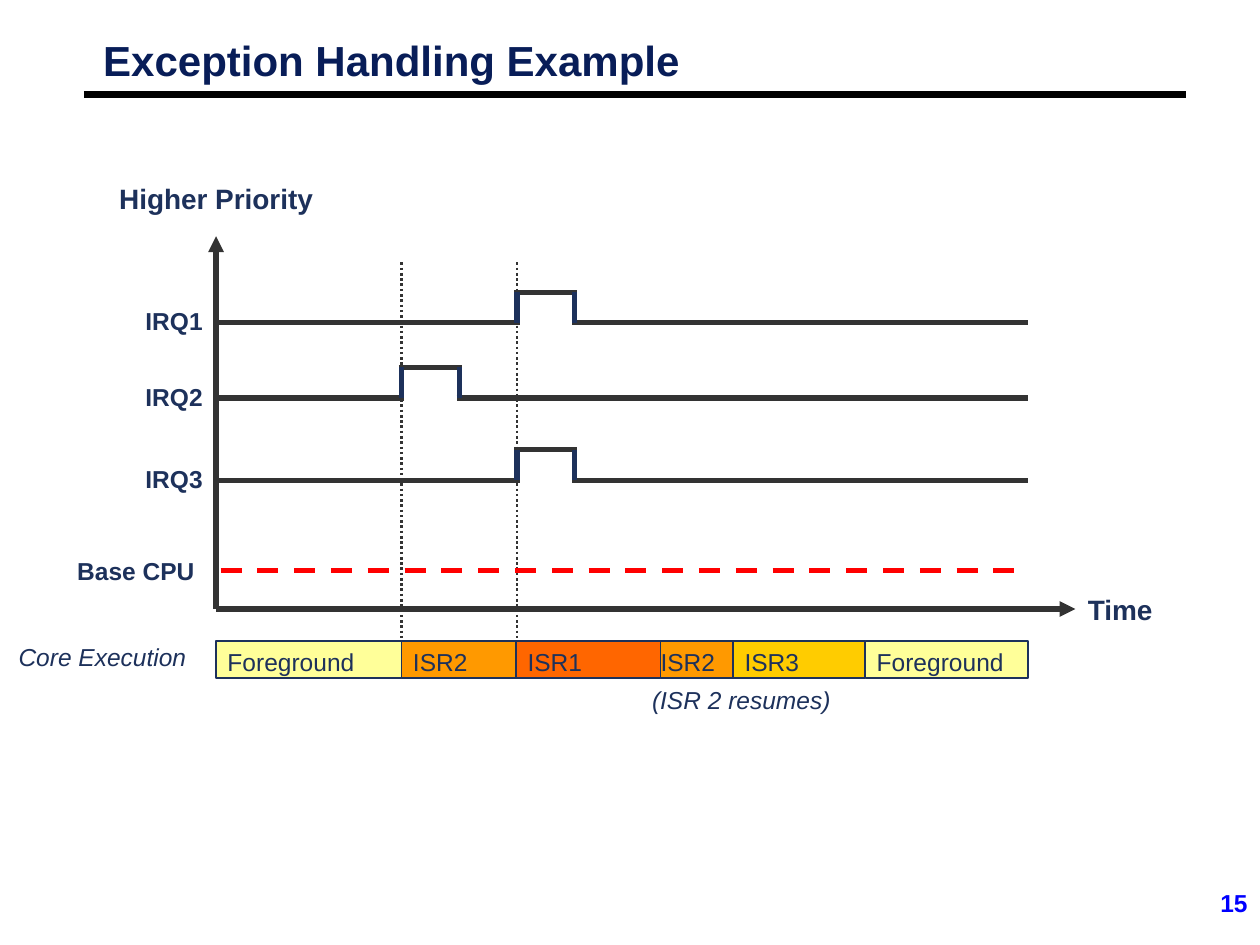
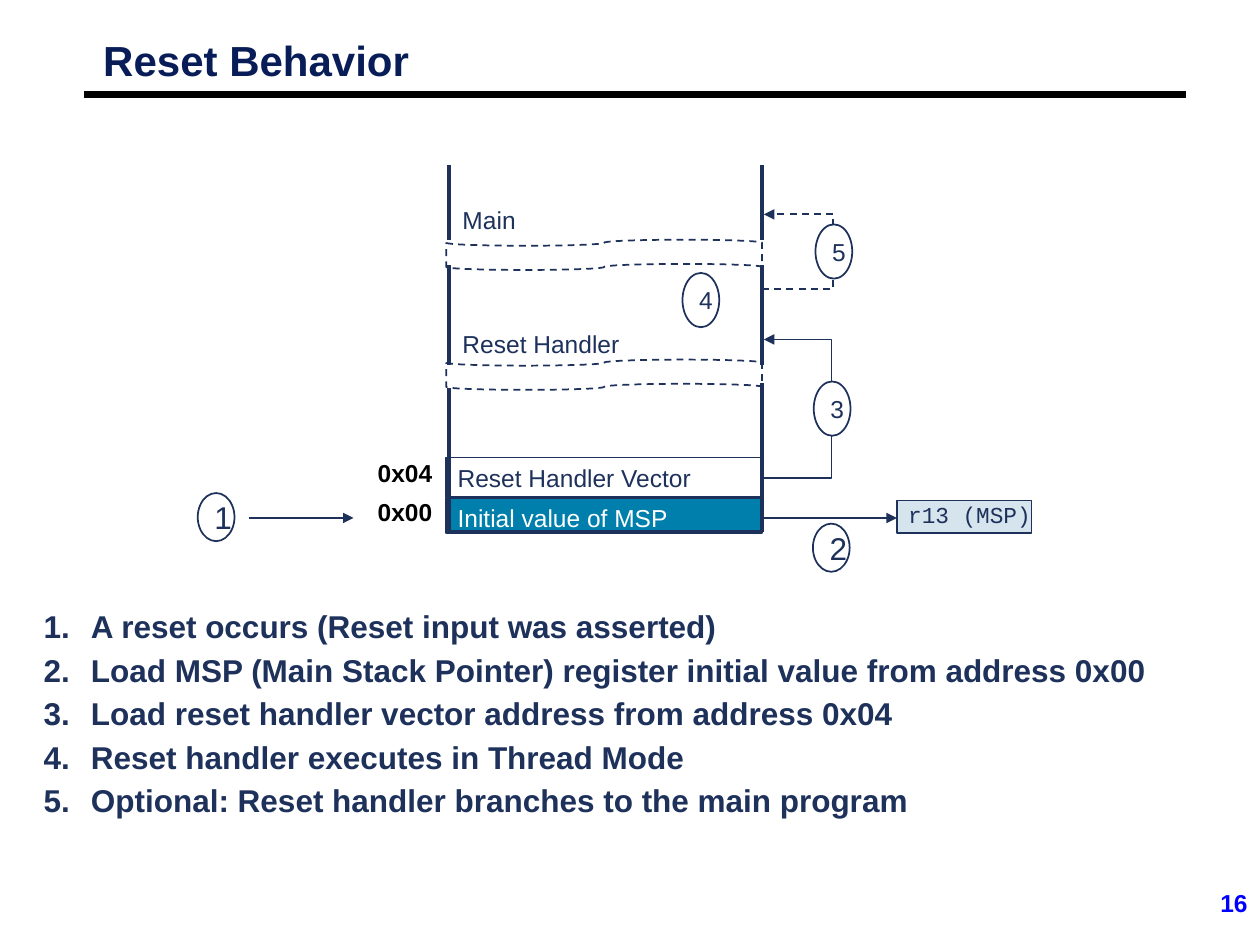
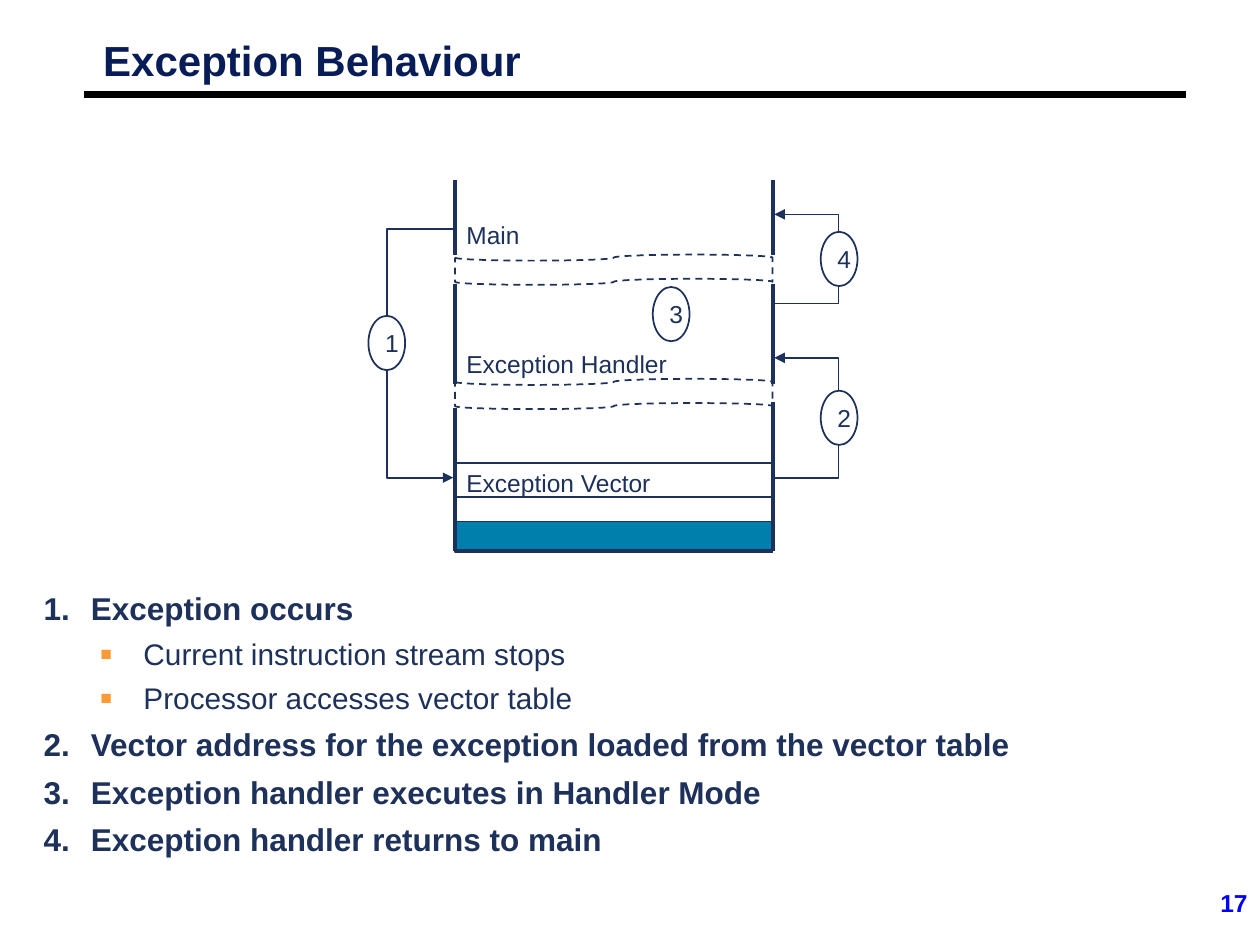
from pptx import Presentation
from pptx.dml.color import RGBColor
from pptx.enum.dml import MSO_LINE
from pptx.enum.shapes import MSO_CONNECTOR, MSO_SHAPE
from pptx.enum.text import MSO_ANCHOR, PP_ALIGN
from pptx.oxml.ns import qn
from pptx.util import Pt
from lxml.etree import SubElement

NAVY = RGBColor(0x1D, 0x31, 0x5B)
TITLE = RGBColor(0x08, 0x1D, 0x58)
BLACK = RGBColor(0, 0, 0)
WHITE = RGBColor(0xFF, 0xFF, 0xFF)
BLUE = RGBColor(0, 0, 0xFF)
RED = RGBColor(0xFF, 0, 0)
GREY = RGBColor(0x33, 0x33, 0x33)
TEAL = RGBColor(0, 0x7F, 0xAC)
PALE = RGBColor(0xD6, 0xE4, 0xEE)
YELLOW = RGBColor(0xFF, 0xFF, 0x99)
ORANGE = RGBColor(0xFF, 0x99, 0)
DEEP_ORANGE = RGBColor(0xFF, 0x66, 0)
GOLD = RGBColor(0xFF, 0xCC, 0)


def box(*lengths):
    return [Pt(v) for v in lengths]


def set_margins(target, x, y):
    target.margin_left = target.margin_right = Pt(x)
    target.margin_top = target.margin_bottom = Pt(y)


def add_run(p, text, size=14, color=NAVY, bold=False, italic=False, font="Arial"):
    r = p.add_run()
    r.text = text
    f = r.font
    f.name, f.size, f.bold, f.italic = font, Pt(size), bold, italic
    f.color.rgb = color


def label(s, x, y, w, h, text, margins=(7.2, 3.6), align=PP_ALIGN.LEFT, **style):
    tf = s.shapes.add_textbox(*box(x, y, w, h)).text_frame
    tf.word_wrap = True
    set_margins(tf, *margins)
    p = tf.paragraphs[0]
    p.alignment = align
    add_run(p, text, **style)
    return p


def block(s, kind, x, y, w, h, fill=None, text="", dash=None, inset=6.5,
          anchor=MSO_ANCHOR.TOP, **style):
    sp = s.shapes.add_shape(kind, *box(x, y, w, h))
    sp.shadow.inherit = False
    if fill is None:
        sp.fill.background()
    else:
        sp.fill.solid()
        sp.fill.fore_color.rgb = fill
    sp.line.color.rgb = NAVY
    sp.line.width = Pt(1)
    if dash:
        sp.line.dash_style = dash
    if text:
        tf = sp.text_frame
        tf.word_wrap = True
        tf.vertical_anchor = anchor
        set_margins(tf, inset, 3)
        p = tf.paragraphs[0]
        p.alignment = PP_ALIGN.LEFT
        add_run(p, text, **style)
    return sp


def line(s, x1, y1, x2, y2, color=NAVY, width=1, dash=None, arrow=False,
         kind=MSO_CONNECTOR.STRAIGHT):
    c = s.shapes.add_connector(kind, *box(x1, y1, x2, y2))
    c.line.color.rgb = color
    c.line.width = Pt(width)
    if dash:
        c.line.dash_style = dash
    if arrow:
        SubElement(c.line._get_or_add_ln(), qn("a:tailEnd"), type="triangle")
    SubElement(c._element.spPr, qn("a:effectLst"))
    return c


def circle(s, cx, cy, number, h=31, size=14):
    w = 21
    block(s, MSO_SHAPE.OVAL, cx - w / 2, cy - h / 2, w, h, WHITE, number,
          anchor=MSO_ANCHOR.MIDDLE, size=size)


def jump(s, x, y1, y2, reach, number, dash=None, shift=0):
    """Elbow arrow that leaves and re-enters a wall, with its step number."""
    side = 1 if reach > 0 else -1
    c = line(s, x, y1, x + side, y2, dash=dash, arrow=True, kind=MSO_CONNECTOR.ELBOW)
    guides = c._element.spPr.find(qn("a:prstGeom")).get_or_add_avLst()
    SubElement(guides, qn("a:gd"), name="adj1", fmla=f"val {abs(reach) * 100000}")
    circle(s, x + reach, (y1 + y2) / 2 + shift, number)


def new_slide(prs, title, number):
    s = prs.slides.add_slide(prs.slide_layouts[6])
    line(s, 48, 54, 678, 54, BLACK, 4.5)
    p = label(s, 54, 21.6, 600, 30, title, (5, 2.2), size=24, color=TITLE, bold=True)
    p.line_spacing = 0.87
    label(s, 570, 504, 150, 36, str(number), align=PP_ALIGN.RIGHT, color=BLUE, bold=True)
    return s


def irq_row(s, x, y, w, name, pulse):
    """Signal line with one pulse that starts at the given offset."""
    label(s, x - 47.5, y - 13, 60, 24, name, bold=True)
    rise, fall, top, lap = x + pulse, x + pulse + 33, y - 17.5, 1.5
    line(s, x, y, rise + lap, y, GREY, 3)
    line(s, rise - lap, top, fall + lap, top, GREY, 3)
    line(s, fall - lap, y, x + w, y, GREY, 3)
    for edge in (rise, fall):
        line(s, edge, top, edge, y, NAVY, 3)


def timing_chart(s, x, y, w, h):
    label(s, x - 62.5, y - 35, 140, 27, "Higher Priority", size=16, bold=True)
    line(s, x, y + h, x, y, GREY, 3, arrow=True)
    line(s, x, y + h, x + w + 27, y + h, GREY, 3, arrow=True)
    label(s, x + w + 27, y + h - 13, 70, 27, "Time", size=16, bold=True)

    # Moments when the interrupts arrive
    first, second = 106, 172
    for moment in (first, second):
        line(s, x + moment, y + 15, x + moment, y + 252, GREY, 1.5, MSO_LINE.ROUND_DOT)

    # Interrupt lines
    for name, offset, pulse in (("IRQ1", 49.5, second), ("IRQ2", 92.5, first),
                                ("IRQ3", 139.5, second)):
        irq_row(s, x, y + offset, w, name, pulse)
    label(s, x - 86.5, y + 179, 93, 24, "Base CPU", bold=True)
    line(s, x + 2.5, y + 191, x + w, y + 191, RED, 3, MSO_LINE.DASH)

    # What the core executes
    label(s, x - 120, y + 228.5, 129, 24, "Core Execution", italic=True)
    phases = (("Foreground", YELLOW, first), ("ISR2", ORANGE, 65.5),
              ("ISR1", DEEP_ORANGE, 82.5), ("ISR2", ORANGE, 41.5),
              ("ISR3", GOLD, 75.5), ("Foreground", YELLOW, 93))
    left = x
    for name, fill, width in phases:
        block(s, MSO_SHAPE.RECTANGLE, left, y + 231.5, width, 21, fill, name,
              inset=0 if width < 50 else 6.5)
        left += width
    label(s, x + 242, y + 253, 129, 24, "(ISR 2 resumes)", italic=True)


def memory_map(s, x, y, w, handler, bands, inset=0, shift=0):
    """Memory column with two torn gaps; shift moves all below the first gap."""
    left, right, bottom = x + inset, x + w, y + 209.5 + shift
    for name, offset in (("Main", 19.5), (handler, 90.7 + shift)):
        label(s, x + 2 * inset, y + offset, w, 17, name, (6.5, 3))
    for offset in (42.5, 111 + shift):
        block(s, MSO_SHAPE.FLOWCHART_PUNCHED_TAPE, x, y + offset, w, 17.3, WHITE,
              dash=MSO_LINE.DASH)
    for offset, height, fill, text, color in bands:
        block(s, MSO_SHAPE.RECTANGLE, x, y + offset, w, height, fill, text, color=color)
    for wall, resume in ((left, 127.5), (right, 124.5)):
        for start, end in ((y, y + 42.5), (y + 57 + shift, y + 114 + shift),
                           (y + resume + shift, bottom)):
            line(s, wall, start, wall, end, width=2.25)
    line(s, x, bottom, right, bottom, width=2.25)


def addresses(s, x, y, w, row_h, values):
    frame = s.shapes.add_table(len(values), 1, *box(x, y, w, row_h * len(values)))
    table = frame.table
    table.first_row = table.horz_banding = False
    table.columns[0].width = Pt(w)
    for row, value in zip(table.rows, values):
        row.height = Pt(row_h)
        cell = row.cells[0]
        cell.fill.background()
        set_margins(cell, 6.5 if value else 0, 2.9 if value else 0)
        if value:
            p = cell.text_frame.paragraphs[0]
            p.alignment = PP_ALIGN.RIGHT
            add_run(p, value, color=BLACK, bold=True)


def steps(s, x, y, w, h, items, spacing=1.0):
    """Numbered steps; each item is (level, text)."""
    tf = s.shapes.add_textbox(*box(x, y, w, h)).text_frame
    tf.word_wrap = True
    set_margins(tf, 6.5, 3)
    for i, (level, text) in enumerate(items):
        p = tf.add_paragraph() if i else tf.paragraphs[0]
        size, margin, hang = ((18, 27, 27), (17, 57, 25))[level]
        p.level = level
        p.line_spacing = spacing
        p.space_before = Pt(0.3 * size if i else 0)
        pPr = p._p.get_or_add_pPr()
        pPr.set("marL", str(Pt(margin)))
        pPr.set("indent", str(-Pt(hang)))
        if level:
            color = SubElement(pPr, qn("a:buClr"))
            SubElement(color, qn("a:srgbClr"), val="FF9933")
            SubElement(pPr, qn("a:buSzPct"), val="125000")
            SubElement(pPr, qn("a:buFont"), typeface="Arial")
            SubElement(pPr, qn("a:buChar"), char="▪")
        else:
            SubElement(pPr, qn("a:buFont"), typeface="+mj-lt")
            SubElement(pPr, qn("a:buAutoNum"), type="arabicPeriod")
        add_run(p, text, size, bold=level == 0)


def reset_diagram(s, x, y, w):
    right = x + w
    addresses(s, x - 47, y + 121.5, 45.5, 22, ["", "", "0x04", "0x00"])
    memory_map(s, x, y, w, "Reset Handler",
               [(190, 20, TEAL, "Initial value of MSP", WHITE),
                (167, 22.5, None, "Reset Handler Vector", NAVY)], inset=1.4)
    # Reset input and stack pointer load
    line(s, x - 112.5, y + 201.5, x - 53, y + 201.5, arrow=True)
    circle(s, x - 131.5, y + 201, "1", 27.5, 18)
    sp = block(s, MSO_SHAPE.RECTANGLE, right + 77, y + 191.5, 77, 18.7, PALE, "r13 (MSP)",
               anchor=MSO_ANCHOR.MIDDLE, size=13, font="Courier New")
    sp.text_frame.word_wrap = False
    sp.text_frame.paragraphs[0].line_spacing = 0.8
    line(s, right, y + 201.5, right + 77, y + 201.5, arrow=True)
    circle(s, right + 39.5, y + 218.5, "2", 27.5, 18)
    # Handler and main
    jump(s, right, y + 178.5, y + 99.5, 40, "3")
    circle(s, right - 35, y + 77, "4")
    jump(s, right, y + 70.5, y + 28, 41, "5", MSO_LINE.DASH)


def exception_diagram(s, x, y, w):
    right = x + w
    memory_map(s, x, y, w, "Exception Handler",
               [(195, 17.3, TEAL, "", NAVY),
                (161.5, 19.5, None, "Exception Vector", NAVY)], shift=2.5)
    jump(s, x, y + 28, y + 170, -39, "1", shift=-6)
    jump(s, right, y + 170, y + 101.5, 38, "2")
    circle(s, right - 58, y + 76.5, "3")
    jump(s, right, y + 70.5, y + 19.5, 38, "4")


def main():
    prs = Presentation()
    prs.slide_width, prs.slide_height = box(720, 540)

    s = new_slide(prs, "Exception Handling Example", 15)
    timing_chart(s, 123.5, 135, 464, 213)

    s = new_slide(prs, "Reset Behavior", 16)
    reset_diagram(s, 255, 94.5, 180.5)
    steps(s, 18.5, 346.5, 701, 152, [
        (0, "A reset occurs (Reset input was asserted)"),
        (0, "Load MSP (Main Stack Pointer) register initial value from address 0x00"),
        (0, "Load reset handler vector address from address 0x04"),
        (0, "Reset handler executes in Thread Mode"),
        (0, "Optional: Reset handler branches to the main program"),
    ], 0.9)

    s = new_slide(prs, "Exception Behaviour", 17)
    exception_diagram(s, 260, 103, 181.5)
    steps(s, 18.5, 333.5, 701, 160, [
        (0, "Exception occurs"),
        (1, "Current instruction stream stops"),
        (1, "Processor accesses vector table"),
        (0, "Vector address for the exception loaded from the vector table"),
        (0, "Exception handler executes in Handler Mode"),
        (0, "Exception handler returns to main"),
    ])

    prs.save("out.pptx")


if __name__ == "__main__":
    main()
